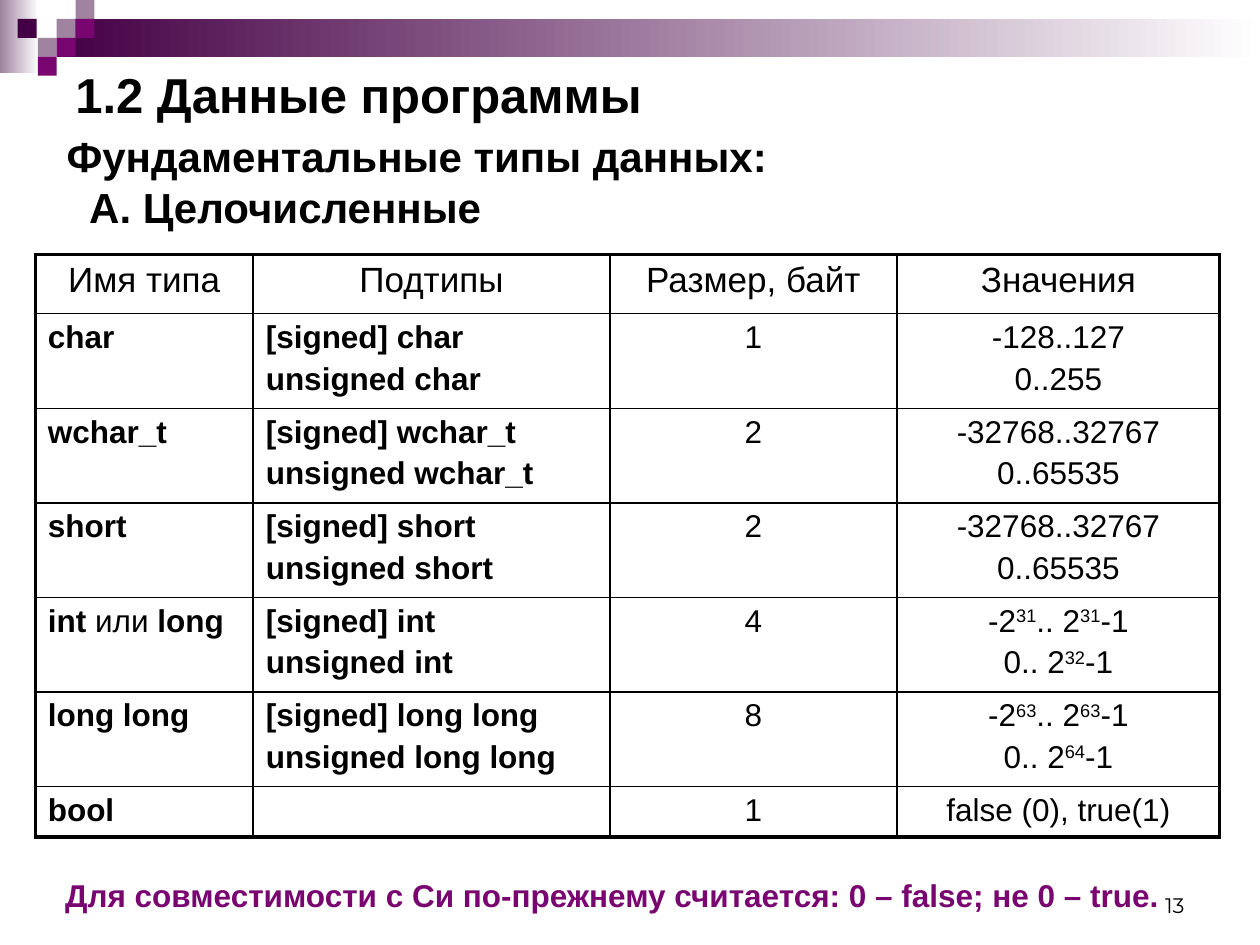
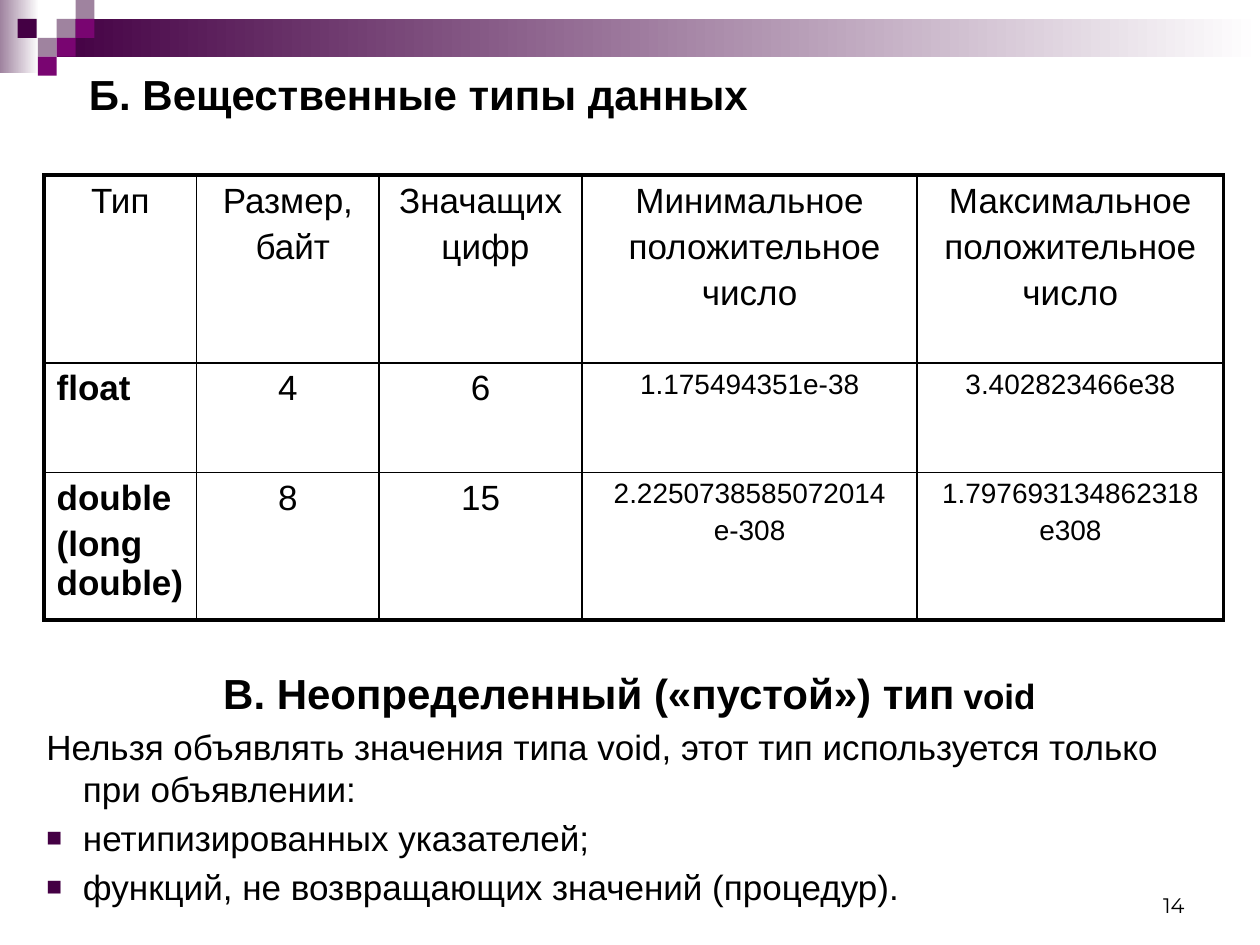
import dataclasses
import itertools

import pptx
import pptx.dml.color
import pptx.enum.shapes
import pptx.enum.text
import pptx.oxml.ns
import pptx.util
from lxml import etree

Inches = pptx.util.Inches
Pt = pptx.util.Pt
LEFT = pptx.enum.text.PP_ALIGN.LEFT
CENTER = pptx.enum.text.PP_ALIGN.CENTER
RIGHT = pptx.enum.text.PP_ALIGN.RIGHT
TOP = pptx.enum.text.MSO_ANCHOR.TOP
MIDDLE = pptx.enum.text.MSO_ANCHOR.MIDDLE
BOTTOM = pptx.enum.text.MSO_ANCHOR.BOTTOM


@dataclasses.dataclass(frozen=True)
class Theme:
    ink: str = "000000"
    dark: str = "440044"
    accent: str = "790571"
    muted: str = "9F839F"
    paper: str = "FFFFFF"
    font: str = "Arial"
    number_font: str = "Montserrat"
    title: int = 28
    heading: int = 24
    body: int = 20
    detail: int = 18
    small: int = 16
    number: int = 12
    space_ratio: float = 0.2
    outer_line: float = 2.25
    inner_line: float = 1


THEME = Theme()


@dataclasses.dataclass(frozen=True)
class Style:
    size: int
    bold: bool = False
    align: int = LEFT
    color: str = THEME.ink
    font: str = THEME.font
    spaced: bool = True
    hang: float = 0
    bullet: bool = False


SUPER = {"raised": True}
PLAIN = {"bold": False}


def power_range(bits):
    exponent = str(bits - 1)
    return [["-2", (exponent, SUPER), ".. 2", (exponent, SUPER), "-1"],
            ["0.. 2", (str(bits), SUPER), "-1"]]


SHORT_RANGE = ["-32768..32767", "0..65535"]

FADES = [(0, 0, 0.31, 0.58, THEME.muted), (0.45, 0.15, 9.55, 0.3, THEME.dark)]
TILE = 0.15
TILES = [
    (0.45, 0.15, THEME.muted), (0.6, 0, THEME.muted), (0.6, 0.15, THEME.accent),
    (0.3, 0.3, THEME.muted), (0.14, 0.15, THEME.dark), (0.45, 0.3, THEME.accent),
    (0.3, 0.45, THEME.accent),
]

HEADER = Style(THEME.body, align=CENTER)
TYPE_NAME = Style(THEME.detail, bold=True)
TYPE_VALUE = Style(THEME.detail, align=CENTER)
REAL_NAME = Style(THEME.body, bold=True)
REAL_LIMIT = Style(THEME.small, align=CENTER)
TITLE = Style(THEME.title, bold=True, spaced=False)
SECTION = Style(THEME.heading, bold=True, spaced=False)
NOTE = Style(THEME.detail, bold=True, color=THEME.accent)
NUMBER = Style(THEME.number, align=RIGHT, font=THEME.number_font, spaced=False)
VOID_TITLE = Style(THEME.heading, bold=True, align=CENTER, hang=0.29)
VOID_TEXT = Style(THEME.body, hang=0.29)
VOID_ITEM = dataclasses.replace(VOID_TEXT, bullet=True)

INTEGER_TYPES = {
    "at": (0.28, 2.02),
    "widths": [1.73, 2.83, 2.28, 2.56],
    "heights": [0.47] + [0.71] * 5 + [0.39],
    "styles": [TYPE_NAME, TYPE_NAME, TYPE_VALUE, TYPE_VALUE],
    "rows": [
        [["Имя типа"], ["Подтипы"], ["Размер, байт"], ["Значения"]],
        [["char"], ["[signed] char", "unsigned char"], ["1"], ["-128..127", "0..255"]],
        [["wchar_t"], ["[signed] wchar_t", "unsigned wchar_t"], ["2"], SHORT_RANGE],
        [["short"], ["[signed] short", "unsigned short"], ["2"], SHORT_RANGE],
        [[["int ", ("или ", PLAIN), "long"]], ["[signed] int", "unsigned int"],
         ["4"], power_range(32)],
        [["long long"], ["[signed] long long", "unsigned long long"],
         ["8"], power_range(64)],
        [["bool"], [], ["1"], ["false (0), true(1)"]],
    ],
}

REAL_TYPES = {
    "at": (0.35, 1.39),
    "widths": [1.21, 1.45, 1.61, 2.66, 2.43],
    "heights": [1.49, 0.87, 1.17],
    "styles": [REAL_NAME, HEADER, HEADER, REAL_LIMIT, REAL_LIMIT],
    "rows": [
        [["Тип"], ["Размер,", " байт"], ["Значащих", " цифр"],
         ["Минимальное", " положительное", "число"],
         ["Максимальное", "положительное", "число"]],
        [["float"], ["4"], ["6"], ["1.175494351е-38"], ["3.402823466е38"]],
        [["double", "(long double)"], ["8"], ["15"],
         ["2.2250738585072014", "е-308"], ["1.797693134862318", "e308"]],
    ],
}

SLIDES = [
    {
        "number": "13",
        "table": INTEGER_TYPES,
        "texts": [
            ((0.5, 0.5, 9, 0.49), MIDDLE, [("1.2 Данные программы", TITLE)]),
            ((0.35, 6.9, 9.37, 0.4), TOP,
             [(" Для совместимости с Си по-прежнему считается: 0 – false; не 0 – true.",
               NOTE)]),
            ((0.43, 0.99, 9.57, 0.91), TOP,
             [("Фундаментальные типы данных:", SECTION),
              ("А. Целочисленные", dataclasses.replace(SECTION, hang=-0.18))]),
        ],
    },
    {
        "number": "14",
        "table": REAL_TYPES,
        "texts": [
            ((0.5, 0.3, 9.07, 0.85), MIDDLE,
             [([(" ", {"size": THEME.title}), "Б. Вещественные типы данных"], SECTION)]),
            ((0.27, 5.25, 9.45, 2.13), TOP,
             [(["В. Неопределенный («пустой») тип",
                (" ", {"size": THEME.detail, "bold": False}),
                ("void", {"size": THEME.body})], VOID_TITLE),
              ("Нельзя объявлять значения типа void, этот тип используется "
               "только при объявлении:", VOID_TEXT),
              ("нетипизированных указателей;", VOID_ITEM),
              ("функций, не возвращающих значений (процедур).", VOID_ITEM)]),
        ],
    },
]


def rgb(color):
    return pptx.dml.color.RGBColor.from_string(color)


def add_xml(parent, tag, **attributes):
    return etree.SubElement(parent, pptx.oxml.ns.qn(tag), attributes)


def indent(paragraph, style):
    properties = paragraph._p.get_or_add_pPr()
    properties.set("marL", str(Inches(abs(style.hang))))
    properties.set("indent", str(Inches(min(-style.hang, 0))))
    if style.bullet:
        bullet_color = add_xml(properties, "a:buClr")
        add_xml(bullet_color, "a:srgbClr", val=THEME.dark)
        add_xml(properties, "a:buSzPct", val="75000")
        add_xml(properties, "a:buFont", typeface=THEME.font)
        add_xml(properties, "a:buChar", char="■")


def write(frame, paragraphs):
    for index, (content, style) in enumerate(paragraphs):
        paragraph = frame.add_paragraph() if index else frame.paragraphs[0]
        paragraph.alignment = style.align
        paragraph.space_before = Pt(style.size * THEME.space_ratio if style.spaced else 0)
        if style.hang:
            indent(paragraph, style)
        for piece in [content] if isinstance(content, str) else content:
            text, changes = (piece, {}) if isinstance(piece, str) else piece
            run = paragraph.add_run()
            run.text = text
            run.font.name = style.font
            run.font.size = Pt(changes.get("size", style.size))
            run.font.bold = changes.get("bold", style.bold)
            run.font.color.rgb = rgb(style.color)
            if changes.get("raised"):
                run._r.get_or_add_rPr().set("baseline", "30000")


def add_text(slide, place, anchor, paragraphs):
    frame = slide.shapes.add_textbox(*map(Inches, place)).text_frame
    frame.word_wrap = True
    frame.vertical_anchor = anchor
    write(frame, paragraphs)


def add_block(slide, place):
    block = slide.shapes.add_shape(
        pptx.enum.shapes.MSO_SHAPE.RECTANGLE, *map(Inches, place))
    block.shadow.inherit = False
    block.line.fill.background()
    return block.fill


def add_band(slide):
    for *place, color in FADES:
        fill = add_block(slide, place)
        fill.gradient()
        fill.gradient_angle = 0
        for stop, shade in zip(fill.gradient_stops, (color, THEME.paper)):
            stop.color.rgb = rgb(shade)
    for left, top, color in TILES:
        fill = add_block(slide, (left, top, TILE, TILE))
        fill.solid()
        fill.fore_color.rgb = rgb(color)


def add_borders(cell, outer_sides):
    properties = cell._tc.get_or_add_tcPr()
    for side, outer in outer_sides.items():
        width = THEME.outer_line if outer else THEME.inner_line
        line = add_xml(properties, "a:ln" + side, w=str(Pt(width)))
        add_xml(add_xml(line, "a:solidFill"), "a:srgbClr", val=THEME.ink)


def add_type_table(slide, content):
    rows, widths, heights = content["rows"], content["widths"], content["heights"]
    place = (*content["at"], sum(widths), sum(heights))
    table = slide.shapes.add_table(len(rows), len(widths), *map(Inches, place)).table
    table.first_row = False
    table.horz_banding = False
    for column, width in zip(table.columns, widths):
        column.width = Inches(width)
    for row, height in zip(table.rows, heights):
        row.height = Inches(height)
    for r, c in itertools.product(range(len(rows)), range(len(widths))):
        cell = table.cell(r, c)
        style = content["styles"][c] if r else HEADER
        write(cell.text_frame, [(line, style) for line in rows[r][c]])
        add_borders(cell, {"L": c == 0, "R": c == len(widths) - 1,
                           "T": r == 0, "B": r == len(rows) - 1})
        cell.fill.background()


deck = pptx.Presentation()
deck.slide_width = Inches(10)
deck.slide_height = Inches(7.5)
for content in SLIDES:
    slide = deck.slides.add_slide(deck.slide_layouts[6])
    add_band(slide)
    add_text(slide, (7.17, 6.83, 2.33, 0.5), BOTTOM, [(content["number"], NUMBER)])
    add_type_table(slide, content["table"])
    for place, anchor, paragraphs in content["texts"]:
        add_text(slide, place, anchor, paragraphs)
deck.save("out.pptx")
